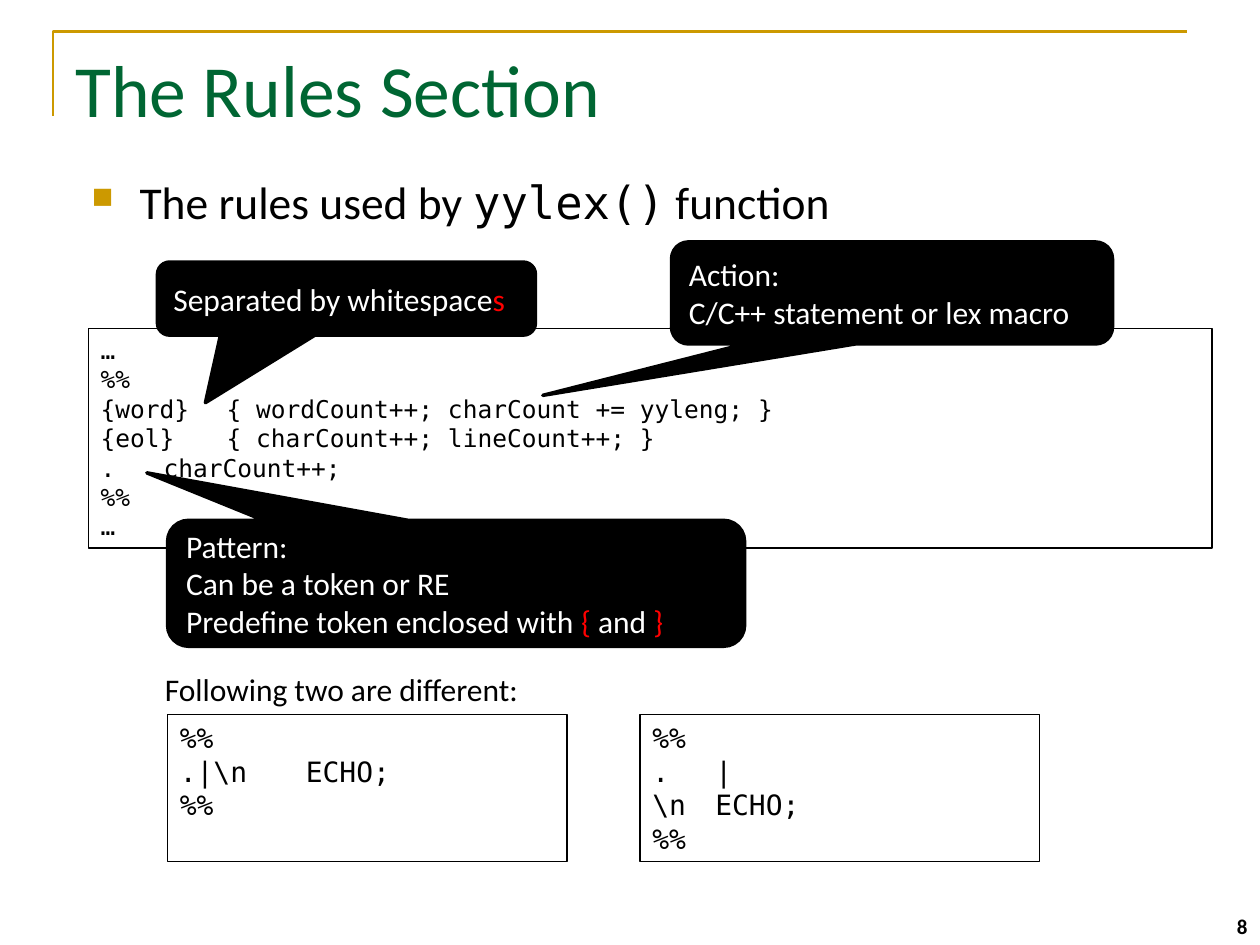
from lxml import etree
from pptx import Presentation
from pptx.dml.color import RGBColor
from pptx.enum.shapes import MSO_SHAPE
from pptx.enum.text import MSO_ANCHOR, PP_ALIGN
from pptx.oxml.ns import qn
from pptx.util import Inches, Pt

BLACK = RGBColor(0x00, 0x00, 0x00)
WHITE = RGBColor(0xFF, 0xFF, 0xFF)
RED = RGBColor(0xFF, 0x00, 0x00)
GREEN = RGBColor(0x00, 0x66, 0x33)
GOLD = RGBColor(0xCC, 0x99, 0x00)
SANS, MONO = "Calibri", "DejaVu Sans Mono"

TITLE = "The Rules Section"
RULES_BULLET = [("The rules used by ", {}), ("yylex()", {"font": MONO}), (" function", {})]
COMPARISON = "Following two are different:"
PAGE = "8"

LISTINGS = [
    ((1.33, 5.67, 3.17, 1.17), 16, ["%%", ".|\\n\tECHO;", "%%"]),
    ((5.08, 5.67, 3.17, 1.17), 16, ["%%", ".\t|", "\\n\tECHO;", "%%"]),
    ((0.7, 2.61, 8.92, 1.74), 14, [
        "…",
        "%%",
        "{word}\t{ wordCount++; charCount += yyleng; }",
        "{eol}\t{ charCount++; lineCount++; }",
        ".\tcharCount++;",
        "%%",
        "…",
    ]),
]

CALLOUTS = [
    ((1.33, 4.13, 4.58, 1), (-0.536, -0.877), [
        "Pattern:",
        "Can be a token or RE",
        [("Predefine token enclosed with ", {}), ("{ ", {"color": RED}),
         ("and", {}), (" }", {"color": RED})],
    ]),
    ((1.25, 2.08, 3, 0.58), (-0.373, 1.424), [
        [("Separated by whitespace", {}), ("s", {"color": RED})],
    ]),
    ((5.33, 1.92, 3.5, 0.81), (-0.792, 1.004), [
        "Action:",
        "C/C++ statement or lex macro",
    ]),
]

prs = Presentation()
prs.slide_width, prs.slide_height = Inches(10), Inches(7.5)
slide = prs.slides.add_slide(prs.slide_layouts[6])
shapes = slide.shapes


def write(holder, lines, size=18, font=SANS, color=BLACK, bold=False,
          align=PP_ALIGN.LEFT, anchor=MSO_ANCHOR.TOP):
    frame = holder.text_frame
    frame.word_wrap = True
    frame.vertical_anchor = anchor
    for index, line in enumerate(lines):
        paragraph = frame.add_paragraph() if index else frame.paragraphs[0]
        paragraph.alignment = align
        for text, style in [(line, {})] if isinstance(line, str) else line:
            run = paragraph.add_run()
            run.text = text
            run.font.size = Pt(size)
            run.font.bold = bold
            run.font.name = style.get("font", font)
            run.font.color.rgb = style.get("color", color)
    return frame


def text_box(place, lines, **style):
    return write(shapes.add_textbox(*map(Inches, place)), lines, **style)


def panel(kind, place, line_width, fill=None):
    box = shapes.add_shape(kind, *map(Inches, place))
    box.shadow.inherit = False
    box.line.color.rgb = BLACK
    box.line.width = Pt(line_width)
    if fill is None:
        box.fill.background()
    else:
        box.fill.solid()
        box.fill.fore_color.rgb = fill
    return box


def add_bullet(paragraph, char, color, percent):
    props = paragraph._p.get_or_add_pPr()
    props.set("marL", str(Inches(0.38)))
    props.set("indent", str(-Inches(0.38)))
    tint = etree.SubElement(props, qn("a:buClr"))
    etree.SubElement(tint, qn("a:srgbClr")).set("val", str(color))
    etree.SubElement(props, qn("a:buSzPct")).set("val", str(percent * 1000))
    etree.SubElement(props, qn("a:buChar")).set("char", char)


outline = shapes.build_freeform(Inches(0.42), Inches(0.92))
outline.add_line_segments([(Inches(0.42), Inches(0.25)), (Inches(9.42), Inches(0.25))], close=False)
corner = outline.convert_to_shape()
corner.shadow.inherit = False
corner.fill.background()
corner.line.color.rgb = GOLD
corner.line.width = Pt(1.5)

text_box((7.67, 7, 2.33, 0.5), [PAGE], size=12, bold=True,
         align=PP_ALIGN.RIGHT, anchor=MSO_ANCHOR.BOTTOM)
text_box((0.5, 0.3, 9, 1.25), [TITLE], size=42, color=GREEN)

rules = text_box((0.63, 1.33, 9, 0.58), [RULES_BULLET], size=26).paragraphs[0]
rules.space_before = Pt(6.5)
add_bullet(rules, "■", GOLD, 65)

for place, size, code in LISTINGS:
    write(panel(MSO_SHAPE.RECTANGLE, place, 0.74), code, size=size, font=MONO)

for place, pointer, lines in CALLOUTS:
    callout = panel(MSO_SHAPE.ROUNDED_RECTANGULAR_CALLOUT, place, 2, BLACK)
    callout.adjustments[0], callout.adjustments[1] = pointer
    write(callout, lines, color=WHITE, anchor=MSO_ANCHOR.MIDDLE)

text_box((1.21, 5.27, 3.29, 0.4), [COMPARISON])

prs.save("out.pptx")
